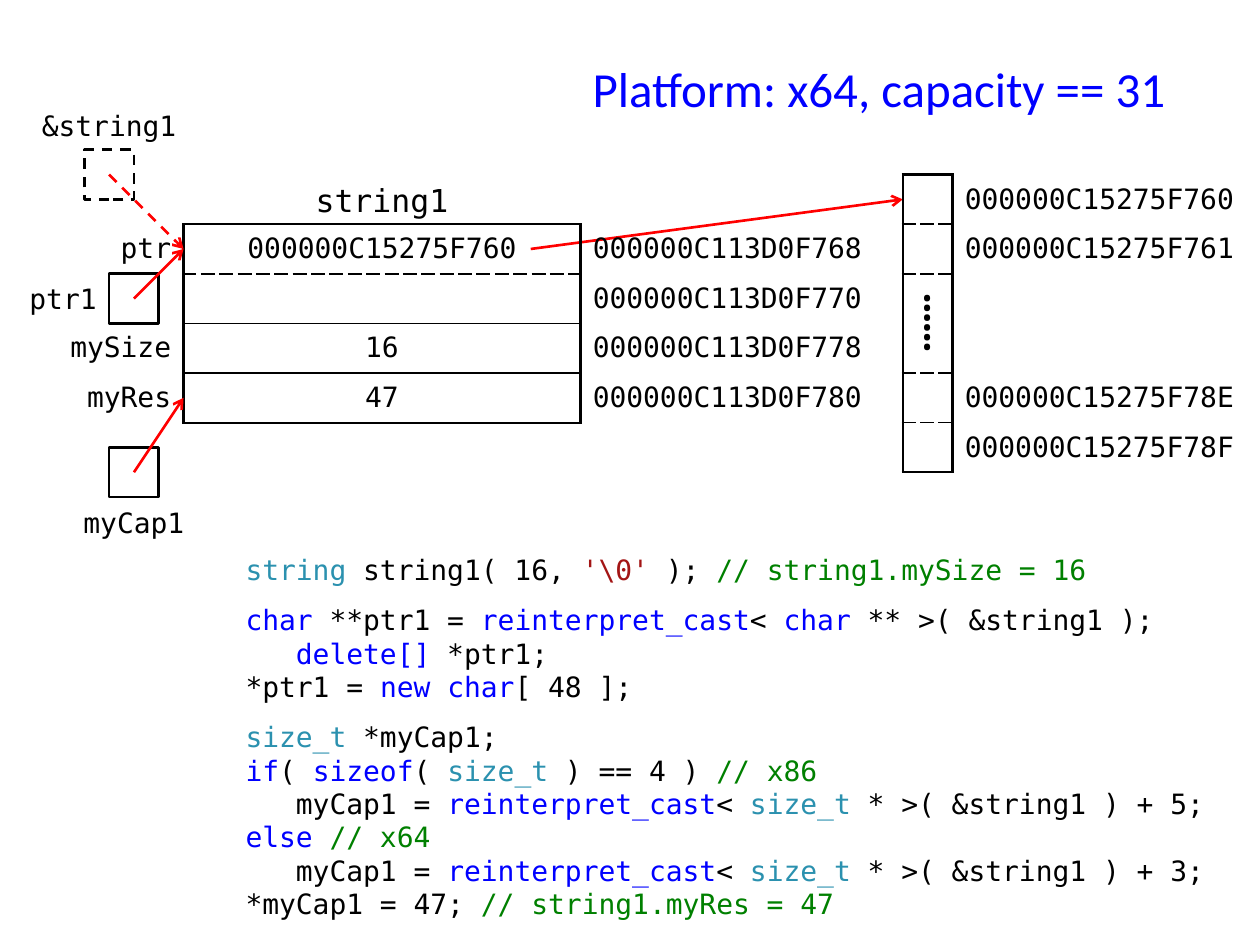
"""Build a slide showing the x64 memory layout of a string and the code that changes it."""
from dataclasses import dataclass, field
from typing import Optional

from lxml.etree import SubElement
from pptx import Presentation
from pptx.dml.color import RGBColor
from pptx.enum.dml import MSO_LINE
from pptx.enum.shapes import MSO_CONNECTOR, MSO_SHAPE
from pptx.enum.text import MSO_ANCHOR as Anchor, PP_ALIGN as Align
from pptx.oxml.ns import qn
from pptx.util import Cm, Pt

BLACK = RGBColor(0x00, 0x00, 0x00)
RED = RGBColor(0xFF, 0x00, 0x00)
BLUE = RGBColor(0x00, 0x00, 0xFF)
TEAL = RGBColor(0x2B, 0x91, 0xAF)
GREEN = RGBColor(0x00, 0x80, 0x00)
MAROON = RGBColor(0xA3, 0x15, 0x15)
MONO = "DejaVu Sans Mono"
NO_TABLE_STYLE = "{2D5ABB26-0587-4C30-8999-92F81FD0307C}"


@dataclass(frozen=True)
class Edge:
    width: float
    dash: str = "solid"


THICK, THIN, DASHED = Edge(1.5), Edge(1), Edge(1, "sysDash")


@dataclass
class Cell:
    text: str = ""
    align: Align = Align.LEFT
    edges: dict[str, Edge] = field(default_factory=dict)
    size: float = 16
    font: str = MONO
    margin: float = 0.25


@dataclass(frozen=True)
class Label:
    text: str
    left: float
    top: float
    width: float
    height: float = 1
    align: Align = Align.CENTER
    anchor: Anchor = Anchor.MIDDLE
    size: float = 16
    font: str = MONO
    color: RGBColor = BLACK
    margin: float = 0.25


@dataclass(frozen=True)
class Box:
    left: float
    top: float
    dash: Optional[MSO_LINE] = None


@dataclass(frozen=True)
class Arrow:
    start: tuple[float, float]
    end: tuple[float, float]
    dash: Optional[MSO_LINE] = None


@dataclass(frozen=True)
class CodeLine:
    pieces: tuple[tuple[str, RGBColor], ...]
    gap: float = 0


TITLE = Label("Platform: x64, capacity == 31", 11.5, 0.5, 12.5, 2.5, Align.LEFT,
              size=28, font="Calibri", color=BLUE)
LABELS = (
    Label("string1", 5.5, 3.5, 4, anchor=Anchor.TOP, size=18),
    Label("ptr1", 0, 5.5, 2, align=Align.RIGHT),
    Label("&string1", 0.5, 2, 3, margin=0),
    Label("myCap1", 1, 10, 3),
)
BOXES = (Box(2, 5.5), Box(1.5, 3, MSO_LINE.DASH), Box(2, 9))
BUFFER_ARROW = Arrow((10.5, 5), (18, 4))
POINTER_ARROWS = (
    Arrow((2.5, 6), (3.5, 5)),
    Arrow((2, 3.5), (3.5, 5), MSO_LINE.DASH),
    Arrow((2.5, 9.5), (3.5, 8)),
)
MEMBERS = (
    ("ptr", "000000C15275F760", "000000C113D0F768"),
    ("", "", "000000C113D0F770"),
    ("mySize", "16", "000000C113D0F778"),
    ("myRes", "47", "000000C113D0F780"),
)
MEMBER_EDGES = (THICK, DASHED, THIN, THIN, THICK)
BUFFER_ADDRESSES = ("000000C15275F760", "000000C15275F761", "", "",
                    "000000C15275F78E", "000000C15275F78F")
BUFFER_EDGES = (THICK, DASHED, DASHED, None, DASHED, DASHED, THICK)


def cast_line(offset: int) -> CodeLine:
    """Return the assignment that reaches a member at the given offset."""
    return CodeLine((("   myCap1 = ", BLACK), ("reinterpret_cast", BLUE), ("< ", BLACK),
                     ("size_t", TEAL), (f" * >( &string1 ) + {offset};", BLACK)))


CODE = (
    CodeLine((("string", TEAL), (" string1( 16, ", BLACK), ("'\\0'", MAROON),
              (" ); ", BLACK), ("// string1.mySize = 16", GREEN))),
    CodeLine((("char", BLUE), (" **ptr1 = ", BLACK), ("reinterpret_cast", BLUE),
              ("< ", BLACK), ("char", BLUE), (" ** >( &string1 );", BLACK)), gap=9.5),
    CodeLine((("   ", BLACK), ("delete[]", BLUE), (" *ptr1;", BLACK))),
    CodeLine((("*ptr1 = ", BLACK), ("new", BLUE), (" ", BLACK), ("char", BLUE),
              ("[ 48 ];", BLACK))),
    CodeLine((("size_t", TEAL), (" *myCap1;", BLACK)), gap=9.5),
    CodeLine((("if", BLUE), ("( ", BLACK), ("sizeof", BLUE), ("( ", BLACK),
              ("size_t", TEAL), (" ) == 4 ) ", BLACK), ("// x86", GREEN))),
    cast_line(5),
    CodeLine((("else", BLUE), (" ", BLACK), ("// x64", GREEN))),
    cast_line(3),
    CodeLine((("*myCap1 = 47; ", BLACK), ("// string1.myRes = 47", GREEN))),
)


def place(left: float, top: float) -> tuple[Cm, Cm]:
    """Turn grid units of one centimetre into a slide position."""
    return Cm(left + 0.2), Cm(top + 0.02)


def style_font(font, name: str, size: float, color: RGBColor) -> None:
    """Set the name, size and colour of a font."""
    font.name, font.size, font.color.rgb = name, Pt(size), color


def draw_label(slide, label: Label) -> None:
    """Draw one line of text in its own box."""
    shape = slide.shapes.add_textbox(*place(label.left, label.top),
                                     Cm(label.width), Cm(label.height))
    frame = shape.text_frame
    frame.word_wrap, frame.vertical_anchor = True, label.anchor
    frame.margin_left = frame.margin_right = Cm(label.margin)
    frame.text = label.text
    paragraph = frame.paragraphs[0]
    paragraph.alignment = label.align
    style_font(paragraph.runs[0].font, label.font, label.size, label.color)


def draw_box(slide, box: Box) -> None:
    """Draw the square of a pointer variable."""
    shape = slide.shapes.add_shape(MSO_SHAPE.RECTANGLE, *place(box.left, box.top), Cm(1), Cm(1))
    shape.shadow.inherit = False
    shape.fill.background()
    shape.line.color.rgb, shape.line.width = BLACK, Pt(1.5)
    shape.line.dash_style = box.dash


def draw_arrow(slide, arrow: Arrow) -> None:
    """Draw a red arrow with an open head."""
    connector = slide.shapes.add_connector(MSO_CONNECTOR.STRAIGHT, *place(*arrow.start),
                                           *place(*arrow.end))
    connector.line.color.rgb, connector.line.width = RED, Pt(1.5)
    connector.line.dash_style = arrow.dash
    SubElement(connector.line._get_or_add_ln(), qn("a:tailEnd"), type="arrow")
    SubElement(connector._element.spPr, qn("a:effectLst"))


def framed(top: Optional[Edge], bottom: Optional[Edge], **details) -> Cell:
    """Return a memory cell with thick sides."""
    edges = {"L": THICK, "R": THICK, "T": top, "B": bottom}
    return Cell(align=Align.CENTER, edges={side: edge for side, edge in edges.items() if edge},
                **details)


def fill_cell(target, cell: Cell) -> None:
    """Write the text and the borders of a table cell."""
    target.margin_left = target.margin_right = Cm(cell.margin)
    target.margin_top = target.margin_bottom = Cm(min(cell.margin, 0.1))
    target.vertical_anchor = Anchor.MIDDLE
    if cell.text:
        target.text = cell.text
        paragraph = target.text_frame.paragraphs[0]
        paragraph.alignment = cell.align
        style_font(paragraph.runs[0].font, cell.font, cell.size, BLACK)
    properties = target._tc.get_or_add_tcPr()
    for side, edge in cell.edges.items():
        line = SubElement(properties, qn(f"a:ln{side}"), w=str(Pt(edge.width)))
        SubElement(SubElement(line, qn("a:solidFill")), qn("a:srgbClr"), val=str(BLACK))
        SubElement(line, qn("a:prstDash"), val=edge.dash)
    target.fill.background()


def draw_table(slide, left: float, top: float, widths: tuple[float, ...], rows: list[list[Cell]]):
    """Draw a table with rows of one centimetre and return it."""
    table = slide.shapes.add_table(len(rows), len(widths), *place(left, top),
                                   Cm(sum(widths)), Cm(len(rows))).table
    table.first_row = table.horz_banding = False
    table._tbl.tblPr.find(qn("a:tableStyleId")).text = NO_TABLE_STYLE
    for column, width in zip(table.columns, widths):
        column.width = Cm(width)
    for row_index, row in enumerate(rows):
        table.rows[row_index].height = Cm(1)
        for column_index, cell in enumerate(row):
            fill_cell(table.cell(row_index, column_index), cell)
    return table


def draw_code(slide) -> None:
    """Draw the coloured source code."""
    frame = slide.shapes.add_textbox(*place(4.5, 11), Cm(20), Cm(7)).text_frame
    frame.word_wrap = True
    for index, line in enumerate(CODE):
        paragraph = frame.add_paragraph() if index else frame.paragraphs[0]
        paragraph.line_spacing, paragraph.space_before = Pt(19.1), Pt(line.gap)
        for text, color in line.pieces:
            run = paragraph.add_run()
            run.text = text
            style_font(run.font, MONO, 16, color)


def main() -> None:
    """Build and save the presentation."""
    presentation = Presentation()
    presentation.slide_width, presentation.slide_height = Cm(25.4), Cm(19.05)
    slide = presentation.slides.add_slide(presentation.slide_layouts[6])
    draw_code(slide)
    draw_label(slide, TITLE)
    draw_arrow(slide, BUFFER_ARROW)
    draw_table(slide, 0.5, 4.5, (3, 8, 6), [
        [Cell(name, Align.RIGHT, {"R": THICK}), framed(top, bottom, text=value),
         Cell(address, edges={"L": THICK})]
        for (name, value, address), top, bottom in zip(MEMBERS, MEMBER_EDGES, MEMBER_EDGES[1:])])
    buffer_rows = [[framed(top, bottom), Cell(address, edges={"L": THICK})] for address, top, bottom
                   in zip(BUFFER_ADDRESSES, BUFFER_EDGES, BUFFER_EDGES[1:])]
    buffer_rows[2][0] = framed(DASHED, DASHED, text="⸽", size=28, font="Times New Roman", margin=0)
    buffer = draw_table(slide, 18, 3.5, (1, 6), buffer_rows)
    buffer.cell(2, 0).merge(buffer.cell(3, 0))
    for label in LABELS:
        draw_label(slide, label)
    for box in BOXES:
        draw_box(slide, box)
    for arrow in POINTER_ARROWS:
        draw_arrow(slide, arrow)
    presentation.save("out.pptx")


if __name__ == "__main__":
    main()
